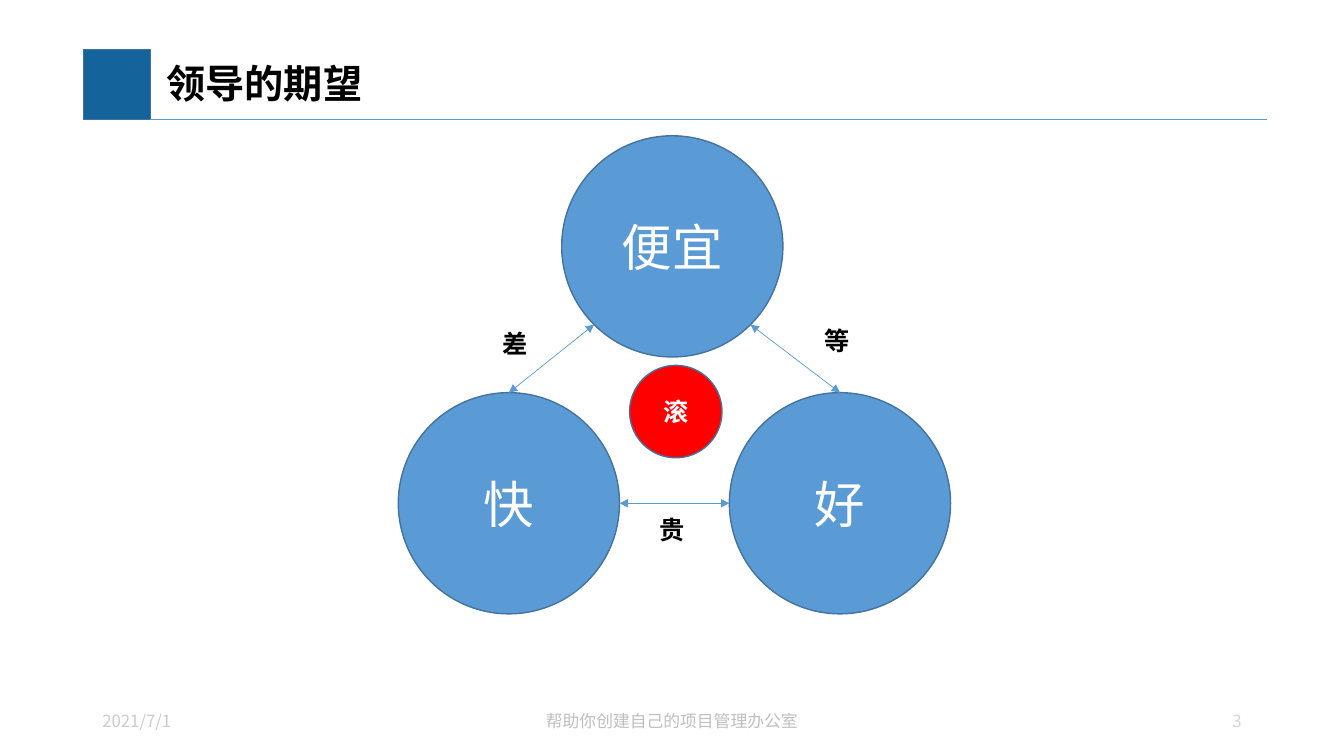
from math import sqrt

from lxml import etree
from pptx import Presentation
from pptx.dml.color import RGBColor
from pptx.enum import shapes, text
from pptx.oxml import ns
from pptx.util import Pt

FONT = "Noto Sans CJK SC"
COLORS = {
    "banner": "15639B", "circle": "5B9BD5", "outline": "43739E", "centre": "FF0000",
    "white": "FFFFFF", "black": "000000",
    "date": "CCCCCC", "motto": "BFBFBF", "number": "D6D6D6",
}
LEFT, CENTER, RIGHT = text.PP_ALIGN.LEFT, text.PP_ALIGN.CENTER, text.PP_ALIGN.RIGHT


def rgb(name):
    return RGBColor.from_string(COLORS[name])


def write(frame, words, size, color, bold=False, align=LEFT):
    """Fill a text frame with one vertically centred paragraph."""
    frame.vertical_anchor = text.MSO_ANCHOR.MIDDLE
    paragraph = frame.paragraphs[0]
    paragraph.text = words
    paragraph.alignment = align
    font = paragraph.font
    font.size, font.bold, font.name = Pt(size), bold, FONT
    font.color.rgb = rgb(color)
    defaults = paragraph._p.pPr.find(ns.qn("a:defRPr"))
    east_asian = etree.SubElement(defaults, ns.qn("a:ea"))
    east_asian.set("typeface", FONT)
    return paragraph


def add_label(slide, box, words, size, color, bold=False, align=LEFT, wrap=True):
    label = slide.shapes.add_textbox(*map(Pt, box))
    label.text_frame.word_wrap = wrap
    write(label.text_frame, words, size, color, bold, align)
    return label


def add_figure(slide, preset, box, fill):
    figure = slide.shapes.add_shape(preset, *map(Pt, box))
    figure.shadow.inherit = False
    figure.fill.solid()
    figure.fill.fore_color.rgb = rgb(fill)
    figure.line.color.rgb = rgb("outline")
    figure.line.width = Pt(1)
    return figure


def add_circle(slide, center, diameter, fill, words, size, bold=False):
    x, y = center
    box = (x - diameter / 2, y - diameter / 2, diameter, diameter)
    circle = add_figure(slide, shapes.MSO_SHAPE.OVAL, box, fill)
    write(circle.text_frame, words, size, "white", bold, CENTER)


def add_line(slide, start, end, arrows=False):
    line = slide.shapes.add_connector(
        shapes.MSO_CONNECTOR.STRAIGHT, *map(Pt, (*start, *end)))
    line.line.color.rgb = rgb("circle")
    line.line.width = Pt(0.5)
    if arrows:
        for tip in ("a:headEnd", "a:tailEnd"):
            etree.SubElement(line.line._get_or_add_ln(), ns.qn(tip)).set("type", "triangle")
    etree.SubElement(line._element.spPr, ns.qn("a:effectLst"))


def add_header(slide, left, top, width, height):
    block = 48
    add_figure(slide, shapes.MSO_SHAPE.RECTANGLE, (left, top, block, height), "banner")
    add_line(slide, (left + block, top + height), (left + width, top + height))
    title = add_label(slide, (left + block, top + 0.5, width - block - 11, height),
                      "领导的期望", 28, "black", bold=True)
    title.text_frame.margin_left = Pt(11.5)
    title.text_frame.paragraphs[0].line_spacing = 0.9


def add_footer(slide, left, top, width, height):
    date_width, motto_width, number_width = 216, 324, 222.5
    add_label(slide, (left, top, date_width, height), "2021/7/1", 12, "date")
    add_label(slide, (left + (width - motto_width) / 2, top, motto_width, height),
              "帮助你创建自己的项目管理办公室", 12, "motto", align=CENTER)
    add_label(slide, (left + width - number_width, top - 0.5, number_width, height),
              "3", 12, "number", align=RIGHT)


def add_tradeoffs(slide, left, top, width, height):
    """Three wishes in a triangle, the price of each pair, and the verdict inside."""
    diameter = 158
    radius = diameter / 2
    diagonal = radius / sqrt(2)
    base = top + height - radius
    fast = (left + radius, base)
    good = (left + width - radius, base)
    cheap = (left + width / 2 - 1.5, top + radius)

    for center, wish in ((fast, "快"), (good, "好"), (cheap, "便宜")):
        add_circle(slide, center, diameter, "circle", wish, 36)

    for (x, y), side in ((fast, -1), (good, 1)):
        add_line(slide, (x, y - radius),
                 (cheap[0] + side * diagonal, cheap[1] + diagonal), arrows=True)
    add_line(slide, (good[0] - radius, base), (fast[0] + radius, base), arrows=True)

    for x, y, price in ((67.5, 133.5, "差"), (179.5, 267, "贵"), (297.5, 131.5, "等")):
        add_label(slide, (left + x, top + y, 32.5, 29), price, 18, "black",
                  bold=True, wrap=False)

    add_circle(slide, (left + width / 2 + 1, top + 197), 66, "centre", "滚", 18, bold=True)


def main():
    deck = Presentation()
    deck.slide_width, deck.slide_height = Pt(960), Pt(540)
    slide = deck.slides.add_slide(deck.slide_layouts[6])
    add_header(slide, 59.5, 35.5, 845.5, 50)
    add_footer(slide, 66, 500.5, 828, 29)
    add_tradeoffs(slide, 284.5, 97, 394.5, 341.5)
    deck.save("out.pptx")


if __name__ == "__main__":
    main()
